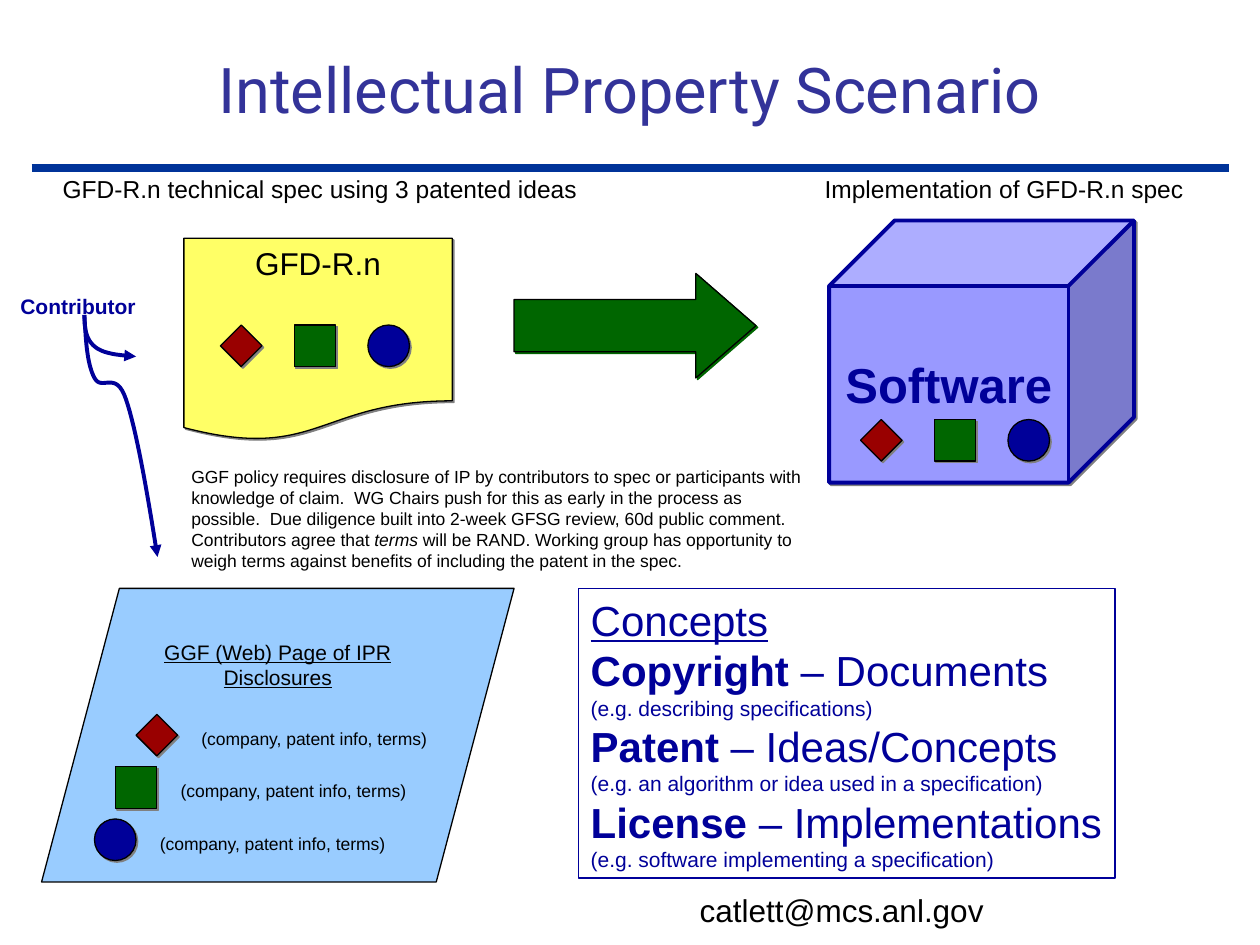
"""Build the Intellectual Property Scenario slide."""
from lxml.etree import SubElement
from pptx import Presentation
from pptx.dml.color import RGBColor
from pptx.enum.shapes import MSO_CONNECTOR, MSO_SHAPE as S
from pptx.enum.text import MSO_ANCHOR as ANCHOR, PP_ALIGN as ALIGN
from pptx.oxml.ns import qn
from pptx.util import Inches, Pt

THEME = {
    "font": "Arial", "title_font": "Roboto",
    "title": "333399", "rule": "003399", "ink": "000000", "navy": "000099",
    "red": "990000", "green": "006600", "paper": "FFFF66", "page": "99CCFF",
    "box": "9999FF", "shade": "808080",
    "title_pt": 36, "software_pt": 28, "concept_pt": 24, "name_pt": 18,
    "caption_pt": 14, "label_pt": 12, "note_pt": 10, "thin": 0.75, "thick": 2.25,
}

TITLE = "Intellectual Property Scenario"
CAPTIONS = [
    ("Implementation of GFD-R.n spec", (6.12, 1.33, 3.7, 0.34)),
    ("GFD-R.n technical spec using 3 patented ideas", (0.33, 1.33, 4.42, 0.34)),
]
POLICY = [
    ("GGF policy requires disclosure of IP by contributors to spec or participants "
     "with knowledge of claim.  WG Chairs push for this as early in the process as "
     "possible.  Due diligence built into 2-week GFSG review, 60d public comment.  "
     "Contributors agree that ", {}),
    ("terms", {"italic": True}),
    (" will be RAND. Working group has opportunity to weigh terms against benefits of "
     "including the patent in the spec.", {}),
]
CONCEPTS = [
    ("Copyright", "Documents", "describing specifications"),
    ("Patent", "Ideas/Concepts", "an algorithm or idea used in a specification"),
    ("License", "Implementations", "software implementing a specification"),
]
DISCLOSURE = "(company, patent info, terms)"
IDEAS = [(S.DIAMOND, "red"), (S.RECTANGLE, "green"), (S.OVAL, "navy")]
IDEA_SIZE = 0.33
DOC_IDEAS, SOFTWARE_IDEAS, PAGE_IDEAS = (1.75, 2.58), (6.83, 3.33), (1.08, 5.67)
ACROSS, DOWN = (0.585, 0), (-0.165, 0.415)
CONTRIBUTOR_CURVES = [
    [(0.67, 2.5), (0.67, 2.6), (0.68, 2.69), (0.75, 2.75),
     (0.82, 2.81), (0.95, 2.82), (1.08, 2.83)],
    [(0.67, 2.5), (0.68, 2.69), (0.69, 2.89), (0.75, 3), (0.81, 3.11),
     (0.92, 2.93), (1, 3.17), (1.08, 3.4), (1.17, 3.91), (1.25, 4.42)],
]
CURVE_STEPS = 16


def color(name):
    return RGBColor.from_string(THEME[name])


def set_line(line, name, width):
    line.color.rgb = color(name)
    line.width = Pt(THEME[width])


def write(sp, paragraphs, size, ink="ink", align=ALIGN.LEFT, wrap=True,
          anchor=ANCHOR.TOP, font="font"):
    """Fill a shape with paragraphs, each a list of (text, format) runs."""
    tf = sp.text_frame
    tf.word_wrap, tf.vertical_anchor = wrap, anchor
    for i, runs in enumerate(paragraphs):
        p = tf.add_paragraph() if i else tf.paragraphs[0]
        p.alignment = align
        for text, extra in runs:
            r = p.add_run()
            r.text = text
            r.font.color.rgb = color(ink)
            values = {"name": THEME[font], "size": Pt(THEME[size]), **extra}
            for key, value in values.items():
                setattr(r.font, key, value)


def add_text(slide, box, paragraphs, size, **options):
    write(slide.shapes.add_textbox(*map(Inches, box)), paragraphs, size, **options)


def add_shape(slide, kind, box, fill=None, line="ink", width="thin", shadow=None, adj=()):
    sp = slide.shapes.add_shape(kind, *map(Inches, box))
    sp.shadow.inherit = False
    for i, value in enumerate(adj):
        sp.adjustments[i] = value
    if fill:
        sp.fill.solid()
        sp.fill.fore_color.rgb = color(fill)
    else:
        sp.fill.background()
    set_line(sp.line, line, width)
    if shadow:
        effects = sp._element.spPr.find(qn("a:effectLst"))
        outer = SubElement(effects, qn("a:outerShdw"), dist=str(Pt(1.4)),
                           dir="2700000", algn="ctr", rotWithShape="0")
        SubElement(outer, qn("a:srgbClr"), val=THEME[shadow])
    return sp


def add_ideas(slide, start, step):
    for i, (kind, fill) in enumerate(IDEAS):
        x, y = (a + i * d for a, d in zip(start, step))
        add_shape(slide, kind, (x, y, IDEA_SIZE, IDEA_SIZE), fill, shadow="shade")


def bezier(points, t):
    weights = ((1 - t) ** 3, 3 * t * (1 - t) ** 2, 3 * t * t * (1 - t), t ** 3)
    return tuple(Inches(sum(w * p[k] for w, p in zip(weights, points))) for k in (0, 1))


def add_curve(slide, points):
    path_points = [bezier(points[i:i + 4], n / CURVE_STEPS)
                   for i in range(0, len(points) - 1, 3)
                   for n in range(1, CURVE_STEPS + 1)]
    builder = slide.shapes.build_freeform(*map(Inches, points[0]))
    builder.add_line_segments(path_points, close=False)
    sp = builder.convert_to_shape()
    sp.shadow.inherit = False
    sp.fill.background()
    set_line(sp.line, "navy", "thick")
    SubElement(sp.line._get_or_add_ln(), qn("a:tailEnd"), type="triangle")


def add_header(slide):
    title = slide.shapes.title
    title.left, title.top, title.width, title.height = map(Inches, (0.5, 0.08, 9, 1.25))
    write(title, [[(TITLE, {})]], "title_pt", "title", ALIGN.CENTER,
          anchor=ANCHOR.MIDDLE, font="title_font")
    rule = slide.shapes.add_connector(
        MSO_CONNECTOR.STRAIGHT, *map(Inches, (0.25, 1.33, 9.75, 1.33)))
    rule.line.color.rgb = color("rule")
    rule.line.width = Pt(4.5)
    SubElement(rule._element.spPr, qn("a:effectLst"))
    for text, box in CAPTIONS:
        add_text(slide, box, [[(text, {})]], "caption_pt", align=ALIGN.CENTER)


def add_flow(slide):
    doc = add_shape(slide, S.FLOWCHART_DOCUMENT, (1.46, 1.89, 2.13, 1.61), "paper",
                    shadow="shade")
    write(doc, [[("GFD-R.n", {})]], "name_pt", align=ALIGN.CENTER, wrap=False)
    add_shape(slide, S.RIGHT_ARROW, (4.08, 2.17, 1.92, 0.83), "green",
              shadow="green", adj=(0.5, 0.575))
    cube = add_shape(slide, S.CUBE, (6.58, 1.75, 2.42, 2.08), "box", "navy", "thick",
                     "shade", (0.25,))
    write(cube, [[("Software", {"bold": True})]], "software_pt", "navy", ALIGN.CENTER,
          False, ANCHOR.MIDDLE)
    add_ideas(slide, DOC_IDEAS, ACROSS)
    add_ideas(slide, SOFTWARE_IDEAS, ACROSS)
    add_text(slide, (1.42, 3.65, 5.08, 0.94), [POLICY], "note_pt")
    for points in CONTRIBUTOR_CURVES:
        add_curve(slide, points)
    add_text(slide, (-0.09, 2.28, 1.42, 0.3), [[("Contributor", {"bold": True})]],
             "label_pt", ink="navy", align=ALIGN.CENTER)


def add_disclosures(slide):
    page = add_shape(slide, S.PARALLELOGRAM, (0.33, 4.67, 3.75, 2.33), "page", adj=(0.265,))
    write(page, [[("GGF (Web) Page of IPR Disclosures", {"underline": True})]],
          "label_pt", align=ALIGN.CENTER)
    add_ideas(slide, PAGE_IDEAS, DOWN)
    x, y = PAGE_IDEAS
    for i in range(len(IDEAS)):
        box = (x + 0.42 + i * DOWN[0], y + 0.06 + i * DOWN[1], 2, 0.27)
        add_text(slide, box, [[(DISCLOSURE, {})]], "note_pt", wrap=False)


def add_concepts(slide):
    paragraphs = [[("Concepts", {"underline": True})]]
    for term, subject, example in CONCEPTS:
        paragraphs += [
            [(term, {"bold": True}), (f" – {subject}", {})],
            [(f"(e.g. {example})", {"size": Pt(THEME["label_pt"])})],
        ]
    box = add_shape(slide, S.RECTANGLE, (4.59, 4.67, 4.26, 2.3), line="navy")
    write(box, paragraphs, "concept_pt", "navy", wrap=False)
    add_text(slide, (5.38, 7.02, 2.6, 0.4), [[("catlett@mcs.anl.gov", {})]],
             "name_pt", align=ALIGN.CENTER)


def main():
    prs = Presentation()
    prs.slide_width, prs.slide_height = Inches(10), Inches(7.5)
    slide = prs.slides.add_slide(prs.slide_layouts[5])
    for add_part in (add_header, add_disclosures, add_flow, add_concepts):
        add_part(slide)
    prs.save("out.pptx")


if __name__ == "__main__":
    main()
